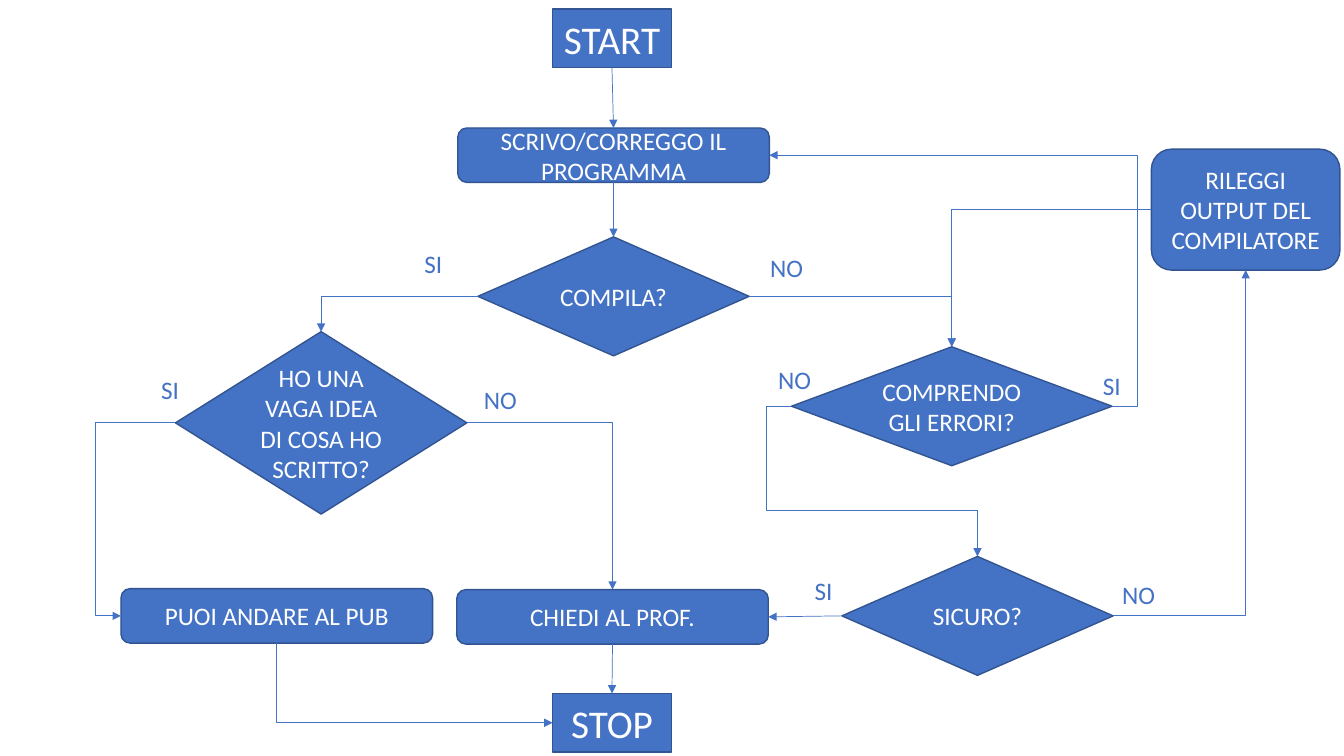
from dataclasses import dataclass

from lxml import etree
from pptx import Presentation
from pptx import util as u
from pptx.dml.color import RGBColor
from pptx.enum import shapes, text
from pptx.oxml.ns import qn

PX = 9144  # 100 px to the inch
BLUE = RGBColor(0x44, 0x72, 0xC4)
NAVY = RGBColor(0x32, 0x54, 0x91)
WHITE = RGBColor(0xFF, 0xFF, 0xFF)
FONT = "Calibri"

RECT = shapes.MSO_SHAPE.RECTANGLE
ROUND = shapes.MSO_SHAPE.ROUNDED_RECTANGLE
DIAMOND = shapes.MSO_SHAPE.DIAMOND
TOP, LEFT, BOTTOM, RIGHT = range(4)


@dataclass(frozen=True)
class Step:
    key: str
    kind: shapes.MSO_SHAPE
    x: int
    y: int
    w: int
    h: int
    words: str
    size: int = 18


@dataclass(frozen=True)
class Flow:
    """Arrow between two steps; bends counts the segments, 1 being straight."""
    start: str
    out: int
    end: str
    into: int
    bends: int = 1
    adjust: tuple[int, ...] = ()


@dataclass(frozen=True)
class Answer:
    words: str
    x: int
    y: int


STEPS = [
    Step("start", RECT, 548, 9, 118, 58, "START", 28),
    Step("write", ROUND, 454, 127, 309, 54, "SCRIVO/CORREGGO IL PROGRAMMA"),
    Step("compiles", DIAMOND, 474, 235, 269, 118, "COMPILA?"),
    Step("idea", DIAMOND, 174, 329, 289, 181, "HO UNA VAGA IDEA DI COSA HO SCRITTO?"),
    Step("errors", DIAMOND, 785, 344, 318, 118, "COMPRENDO GLI ERRORI?"),
    Step("sure", DIAMOND, 835, 552, 269, 118, "SICURO?"),
    Step("reread", ROUND, 1142, 148, 187, 120, "RILEGGI OUTPUT DEL COMPILATORE"),
    Step("pub", ROUND, 120, 584, 309, 54, "PUOI ANDARE AL PUB"),
    Step("prof", ROUND, 453, 585, 309, 54, "CHIEDI AL PROF."),
    Step("stop", RECT, 548, 688, 118, 58, "STOP", 28),
]

# Adjustments are in thousandths of a percent of the connector's box.
FLOWS = [
    Flow("start", BOTTOM, "write", TOP),
    Flow("write", BOTTOM, "compiles", TOP),
    Flow("compiles", LEFT, "idea", TOP, 2),
    Flow("compiles", RIGHT, "errors", TOP, 2),
    Flow("idea", RIGHT, "prof", TOP, 2),
    Flow("idea", LEFT, "pub", LEFT, 3, (146200,)),
    Flow("errors", RIGHT, "write", RIGHT, 3, (-7400,)),
    Flow("errors", LEFT, "sure", TOP, 4, (-13600, 69600)),
    Flow("sure", LEFT, "prof", RIGHT),
    Flow("sure", RIGHT, "reread", BOTTOM, 2),
    Flow("reread", LEFT, "errors", TOP, 2),
    Flow("prof", BOTTOM, "stop", TOP),
    Flow("pub", BOTTOM, "stop", LEFT, 2),
]

ANSWERS = [
    Answer("NO", 754, 245), Answer("NO", 762, 357),
    Answer("NO", 1103, 570), Answer("NO", 470, 376),
    Answer("SI", 411, 241), Answer("SI", 150, 366),
    Answer("SI", 798, 566), Answer("SI", 1084, 362),
]


def write(tf, words: str, size: int, color: RGBColor) -> None:
    tf.text = words
    tf.word_wrap = True
    font = tf.paragraphs[0].runs[0].font
    font.name, font.size, font.color.rgb = FONT, u.Pt(size), color


def draw_step(s, step: Step):
    sp = s.shapes.add_shape(step.kind, *(n * PX for n in (step.x, step.y, step.w, step.h)))
    sp.shadow.inherit = False
    sp.fill.solid()
    sp.fill.fore_color.rgb = BLUE
    sp.line.color.rgb = NAVY
    sp.line.width = u.Pt(1)
    tf = sp.text_frame
    write(tf, step.words, step.size, WHITE)
    tf.vertical_anchor = text.MSO_ANCHOR.MIDDLE
    tf.paragraphs[0].alignment = text.PP_ALIGN.CENTER
    return sp


def turn_downward(cxn) -> None:
    """Turn a right-and-down elbow so that its first segment runs down."""
    x, y, w, h = cxn.left, cxn.top, cxn.width, cxn.height
    cxn.left, cxn.top = x + (w - h) // 2, y + (h - w) // 2
    cxn.width, cxn.height = h, w
    xfrm = cxn._element.spPr.find(qn("a:xfrm"))
    xfrm.set("rot", "16200000")
    xfrm.set("flipH", "1")


def draw_flow(s, flow: Flow, boxes: dict) -> None:
    kind = shapes.MSO_CONNECTOR.STRAIGHT if flow.bends == 1 else shapes.MSO_CONNECTOR.ELBOW
    cxn = s.shapes.add_connector(kind, 0, 0, 0, 0)
    cxn.begin_connect(boxes[flow.start], flow.out)
    cxn.end_connect(boxes[flow.end], flow.into)
    cxn.line.color.rgb = BLUE
    cxn.line.width = u.Pt(0.5)
    pr = cxn._element.spPr
    if flow.bends > 1:
        geom = pr.find(qn("a:prstGeom"))
        geom.set("prst", f"bentConnector{flow.bends}")
        guides = geom.find(qn("a:avLst"))
        for i, value in enumerate(flow.adjust, 1):
            etree.SubElement(guides, qn("a:gd"), name=f"adj{i}", fmla=f"val {value}")
        if flow.out == BOTTOM:
            turn_downward(cxn)
    etree.SubElement(pr.find(qn("a:ln")), qn("a:tailEnd"), type="triangle")
    etree.SubElement(pr, qn("a:effectLst"))


def draw_answer(s, answer: Answer) -> None:
    sp = s.shapes.add_textbox(answer.x * PX, answer.y * PX, 78 * PX, 40 * PX)
    write(sp.text_frame, answer.words, 18, BLUE)
    sp.text_frame.auto_size = text.MSO_AUTO_SIZE.SHAPE_TO_FIT_TEXT


def main() -> None:
    prs = Presentation()
    prs.slide_width, prs.slide_height = 1333 * PX, 750 * PX
    s = prs.slides.add_slide(prs.slide_layouts[6])
    boxes = {step.key: draw_step(s, step) for step in STEPS}
    for flow in FLOWS:
        draw_flow(s, flow, boxes)
    for answer in ANSWERS:
        draw_answer(s, answer)
    prs.save("out.pptx")


if __name__ == "__main__":
    main()
